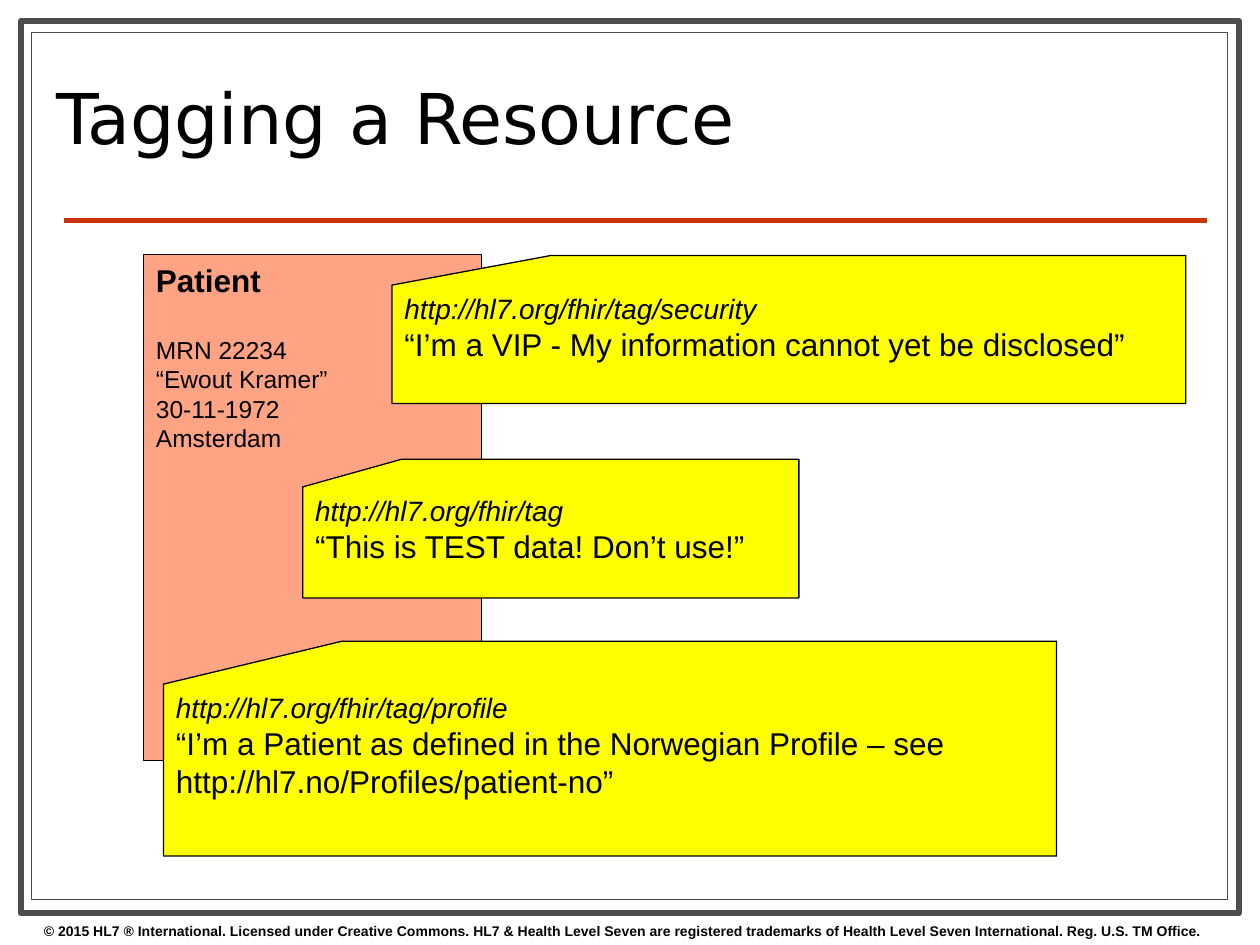
from dataclasses import dataclass

from lxml.etree import SubElement
from pptx import Presentation
from pptx.dml.color import RGBColor
from pptx.enum.shapes import MSO_CONNECTOR, MSO_SHAPE
from pptx.enum.text import MSO_ANCHOR, PP_ALIGN
from pptx.oxml.ns import qn
from pptx.util import Pt


@dataclass(frozen=True)
class Theme:
    ink: str = "000000"
    paper: str = "FFFFFF"
    frame: str = "4D4D4D"
    rule: str = "CC3300"
    record: str = "FFA385"
    tag: str = "FFFF00"
    body_font: str = "Arial"
    title_font: str = "DejaVu Sans"
    title_size: float = 40
    large_size: float = 18
    link_size: float = 16
    detail_size: float = 14
    footer_size: float = 8
    thin: float = 0.75


THEME = Theme()

# Each tag: left, top, width, height, address, statement
TAGS = [
    (224, 146, 453.6, 84.5, "http://hl7.org/fhir/tag/security",
     "“I’m a VIP - My information cannot yet be disclosed”"),
    (173, 262.4, 283.5, 79.3, "http://hl7.org/fhir/tag",
     "“This is TEST data! Don’t use!”"),
    (93.5, 366.4, 510.3, 122.8, "http://hl7.org/fhir/tag/profile",
     "“I’m a Patient as defined in the Norwegian Profile – see "
     "http://hl7.no/Profiles/patient-no”"),
]


def add_panel(page, kind, bounds, fill, line, weight=THEME.thin):
    panel = page.shapes.add_shape(kind, *map(Pt, bounds))
    panel.shadow.inherit = False
    panel.fill.solid()
    panel.fill.fore_color.rgb = RGBColor.from_string(fill)
    panel.line.color.rgb = RGBColor.from_string(line)
    panel.line.width = Pt(weight)
    return panel


def add_rule(page, left, right, top):
    rule = page.shapes.add_connector(
        MSO_CONNECTOR.STRAIGHT, Pt(left), Pt(top), Pt(right), Pt(top))
    rule.line.color.rgb = RGBColor.from_string(THEME.rule)
    rule.line.width = Pt(3)
    SubElement(rule._element.spPr, qn("a:effectLst"))


def write(shape, lines, anchor=MSO_ANCHOR.TOP):
    """Fill a shape with lines of (text, size, font settings)."""
    frame = shape.text_frame
    frame.word_wrap = True
    frame.vertical_anchor = anchor
    frame.text = "\n".join(text for text, _, _ in lines)
    for para, (_, size, settings) in zip(frame.paragraphs, lines):
        para.alignment = PP_ALIGN.LEFT
        for span in para.runs:
            span.font.name = settings.get("name", THEME.body_font)
            span.font.size = Pt(size)
            span.font.bold = settings.get("bold", False)
            span.font.italic = settings.get("italic", False)
            span.font.color.rgb = RGBColor.from_string(THEME.ink)
    return frame


def add_label(page, bounds, text, size, anchor=MSO_ANCHOR.TOP, **settings):
    box = page.shapes.add_textbox(*map(Pt, bounds))
    return write(box, [(text, size, settings)], anchor)


def add_record(page, bounds, heading, details):
    panel = add_panel(page, MSO_SHAPE.RECTANGLE, bounds, THEME.record, THEME.ink)
    lines = [(heading, THEME.large_size, {"bold": True})]
    lines += [(detail, THEME.detail_size, {}) for detail in details]
    frame = write(panel, lines)
    frame.paragraphs[1].space_before = Pt(20.7)


def add_tag(page, left, top, width, height, address, statement):
    card = add_panel(page, MSO_SHAPE.FLOWCHART_CARD, (left, top, width, height),
                     THEME.tag, THEME.ink)
    write(card, [(address, THEME.link_size, {"italic": True}),
                 (statement, THEME.large_size, {})])


def main():
    deck = Presentation()
    deck.slide_width, deck.slide_height = Pt(720), Pt(540)
    page = deck.slides.add_slide(deck.slide_layouts[6])

    # Double frame, rule and footer
    for bounds, weight in [((12, 12, 696, 510), 3.5),
                           ((18, 18.5, 683.5, 495.5), THEME.thin)]:
        add_panel(page, MSO_SHAPE.RECTANGLE, bounds, THEME.paper, THEME.frame, weight)
    add_rule(page, 36.5, 689.8, 126)
    add_label(page, (18, 523.5, 720, 16.5),
              "© 2015 HL7 ® International. Licensed under Creative Commons. "
              "HL7 & Health Level Seven are registered trademarks of "
              "Health Level Seven International. Reg. U.S. TM Office.",
              THEME.footer_size, bold=True)

    # Title
    title = add_label(page, (25, 26, 516, 90.5), "Tagging a Resource",
                      THEME.title_size, MSO_ANCHOR.MIDDLE, name=THEME.title_font)
    title.paragraphs[0].line_spacing = 0.8

    # Patient record with its tags on top
    add_record(page, (82, 145.5, 193, 289), "Patient",
               ["MRN 22234", "“Ewout Kramer”", "30-11-1972", "Amsterdam"])
    for tag in TAGS:
        add_tag(page, *tag)

    deck.save("out.pptx")


if __name__ == "__main__":
    main()
